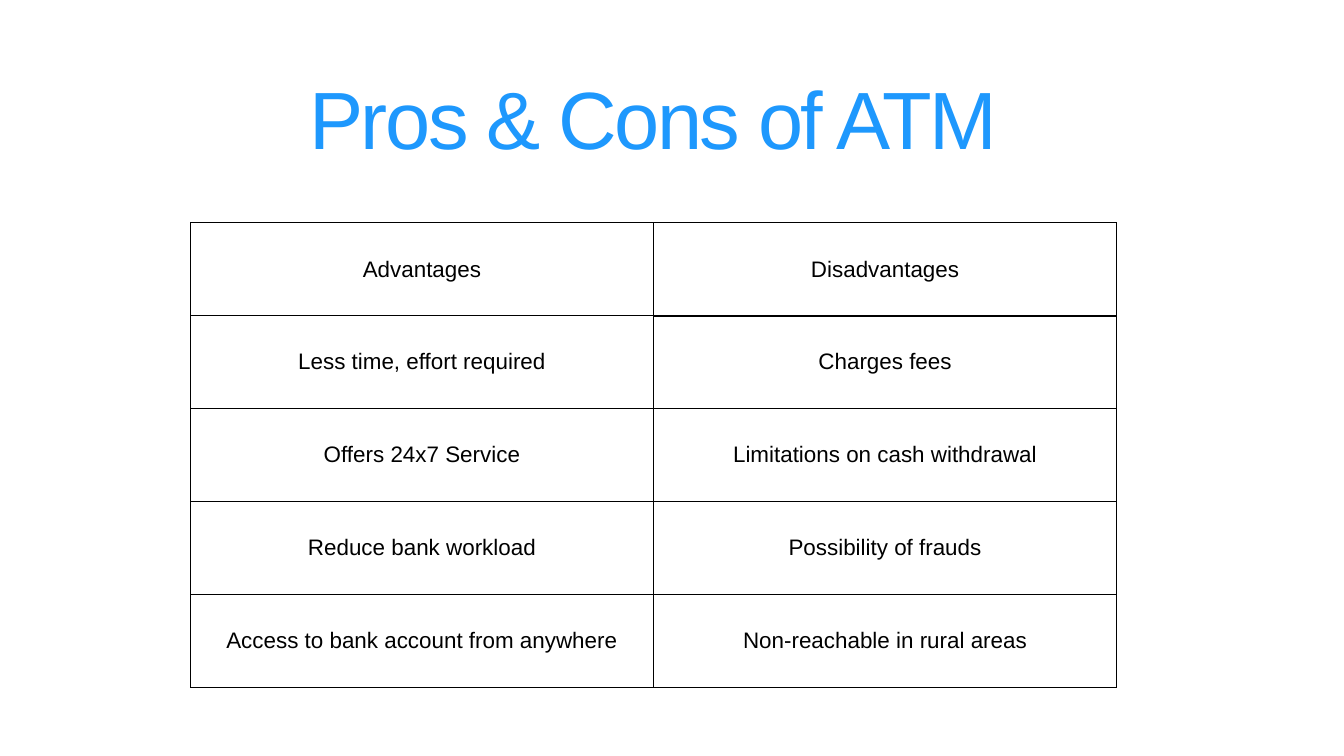
import pptx
import pptx.util
import pptx.dml.color
import pptx.enum.text
import pptx.oxml
import pptx.oxml.ns
import lxml.etree


def color(value):
    return pptx.dml.color.RGBColor.from_string(value)


class SlideBuilder:
    font = "Arial"
    ink = "000000"
    accent = "1E98FD"
    inset = pptx.util.Inches(0.06)

    def __init__(self, deck):
        self.deck = deck
        self.page = deck.slides.add_slide(deck.slide_layouts[6])

    def area(self, left, top, width, height):
        across, down = self.deck.slide_width, self.deck.slide_height
        return [int(share * side / 100) for share, side in
                ((left, across), (top, down), (width, across), (height, down))]

    def label(self, frame, text, size, shade):
        frame.text = text
        frame.word_wrap = True
        para = frame.paragraphs[0]
        para.alignment = pptx.enum.text.PP_ALIGN.CENTER
        span = para.runs[0]
        span.font.name = self.font
        span.font.size = pptx.util.Pt(size)
        span.font.bold = False
        span.font.color.rgb = color(shade)
        return para

    def pad(self, holder):
        holder.margin_left = holder.margin_right = self.inset
        holder.margin_top = holder.margin_bottom = self.inset

    def title(self, text, place, size, spacing):
        box = self.page.shapes.add_textbox(*self.area(*place))
        frame = box.text_frame
        self.pad(frame)
        frame.vertical_anchor = pptx.enum.text.MSO_ANCHOR.BOTTOM
        para = self.label(frame, text, size, self.accent)
        para.line_spacing = 0.9
        para.runs[0]._r.get_or_add_rPr().set("spc", str(int(spacing * 100)))

    def border(self, cell, widths):
        properties = cell._tc.get_or_add_tcPr()
        for position, (side, width) in enumerate(widths.items()):
            line = lxml.etree.Element(pptx.oxml.ns.qn(f"a:ln{side}"), w=str(pptx.util.Pt(width)))
            fill = lxml.etree.SubElement(line, pptx.oxml.ns.qn("a:solidFill"))
            lxml.etree.SubElement(fill, pptx.oxml.ns.qn("a:srgbClr"), val=self.ink)
            properties.insert(position, line)

    def table(self, rows, place, size):
        left, top, width, height = self.area(*place)
        table = self.page.shapes.add_table(
            len(rows), len(rows[0]), left, top, width, height).table
        table.horz_banding = False
        for row, texts in enumerate(rows):
            for column, text in enumerate(texts):
                cell = table.cell(row, column)
                self.pad(cell)
                cell.vertical_anchor = pptx.enum.text.MSO_ANCHOR.MIDDLE
                cell.fill.background()
                self.label(cell.text_frame, text, size, self.ink)
                heavy = row == 0 and column == 1
                self.border(cell, {"L": 1, "R": 1, "T": 1, "B": 3 if heavy else 1})


def main():
    deck = pptx.Presentation()
    deck.slide_width = pptx.util.Inches(26.67)
    deck.slide_height = pptx.util.Inches(15)
    builder = SlideBuilder(deck)
    builder.title("Pros & Cons of ATM", (3.82, -5.8, 89.58, 28.27), 116, -3.5)
    builder.table([
        ("Advantages", "Disadvantages"),
        ("Less time, effort required", "Charges fees"),
        ("Offers 24x7 Service", "Limitations on cash withdrawal"),
        ("Reduce bank workload", "Possibility of frauds"),
        ("Access to bank account from anywhere", "Non-reachable in rural areas"),
    ], (14.17, 29.47, 68.92, 61.47), 32)
    deck.save("out.pptx")


if __name__ == "__main__":
    main()
